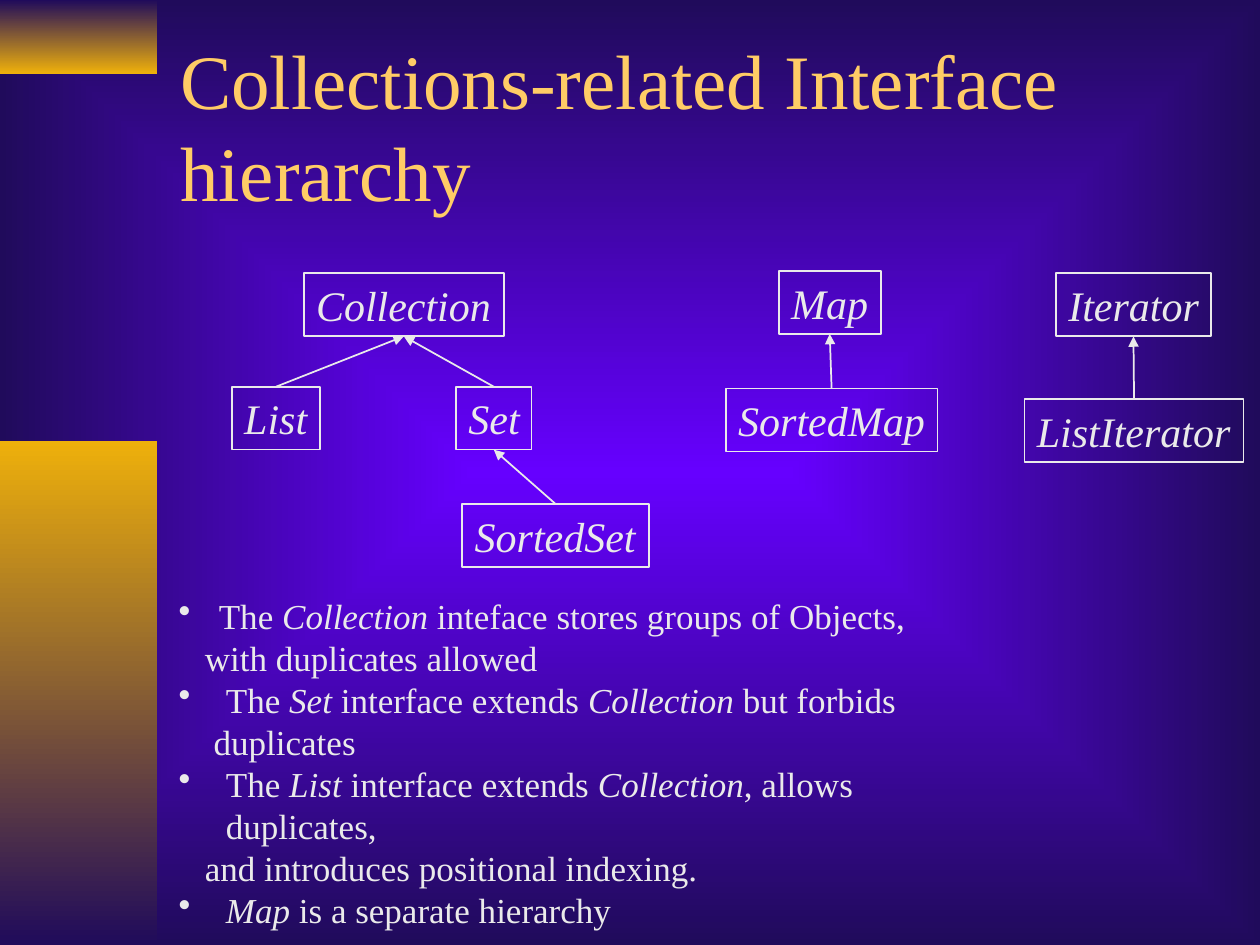
from dataclasses import dataclass

from lxml.etree import SubElement
from pptx import Presentation
from pptx.dml.color import RGBColor
from pptx.dml.fill import FillFormat
from pptx.enum.shapes import MSO_CONNECTOR, MSO_SHAPE
from pptx.enum.text import MSO_ANCHOR, PP_ALIGN
from pptx.oxml.ns import qn
from pptx.shapes.autoshape import Shape
from pptx.slide import Slide
from pptx.text.text import TextFrame
from pptx.util import Pt


@dataclass(frozen=True)
class Theme:
    font: str = "Times New Roman"
    glow: RGBColor = RGBColor(0x66, 0x00, 0xFF)
    night: RGBColor = RGBColor(0x20, 0x0B, 0x5B)
    gold: RGBColor = RGBColor(0xEE, 0xB0, 0x0B)
    heading: RGBColor = RGBColor(0xFF, 0xCC, 0x66)
    ink: RGBColor = RGBColor(0xEA, 0xEA, 0xEA)
    title_size: float = 44
    node_size: float = 24
    note_size: float = 20
    line_width: float = 1


@dataclass(frozen=True)
class Interface:
    name: str
    left: float
    top: float
    width: float
    parent: str = ""


@dataclass(frozen=True)
class Note:
    text: str  # interface names stand between asterisks
    indent: float
    bulleted: bool = True


THEME = Theme()
NODE_HEIGHT = 36

# Parents come before the interfaces that extend them
INTERFACES = [
    Interface("Collection", 173.5, 156.2, 114.5),
    Interface("List", 132.5, 221, 50.4, "Collection"),
    Interface("Set", 260.6, 221, 43.2, "Collection"),
    Interface("SortedSet", 264.2, 288, 106.6, "Set"),
    Interface("Map", 445, 154.8, 58.3),
    Interface("SortedMap", 414.7, 222, 121, "Map"),
    Interface("Iterator", 603.4, 156.2, 88.6),
    Interface("ListIterator", 585.4, 228.2, 125.3, "Iterator"),
]

NOTES = [
    Note("The *Collection* inteface stores groups of Objects,", 23),
    Note("with duplicates allowed", 15, bulleted=False),
    Note("The *Set* interface extends *Collection* but forbids", 27),
    Note("duplicates", 20, bulleted=False),
    Note("The *List* interface extends *Collection*, allows duplicates,", 27),
    Note("and introduces positional indexing.", 15, bulleted=False),
    Note("*Map* is a separate hierarchy", 27),
]


def set_gradient(fill: FillFormat, first: RGBColor, last: RGBColor) -> None:
    fill.gradient()
    fill.gradient_angle = 270  # top to bottom
    for stop, color in zip(fill.gradient_stops, (first, last)):
        stop.color.rgb = color


def paint_background(slide: Slide) -> None:
    set_gradient(slide.background.fill, THEME.glow, THEME.night)
    gradient = next(slide.background._cSld.iter(qn("a:gradFill")))
    gradient.remove(gradient.find(qn("a:lin")))
    rings = SubElement(gradient, qn("a:path"), path="rect")
    SubElement(rings, qn("a:fillToRect"), l="50000", t="50000", r="50000", b="50000")


def add_band(slide: Slide, top: float, height: float, first: RGBColor, last: RGBColor) -> None:
    band = slide.shapes.add_shape(MSO_SHAPE.RECTANGLE, 0, Pt(top), Pt(90), Pt(height))
    band.shadow.inherit = False
    band.line.fill.background()
    set_gradient(band.fill, first, last)


def add_text_area(slide: Slide, left: float, top: float, width: float, height: float) -> TextFrame:
    area = slide.shapes.add_textbox(Pt(left), Pt(top), Pt(width), Pt(height)).text_frame
    area.word_wrap = True
    return area


def add_title(slide: Slide, text: str) -> None:
    title = add_text_area(slide, 95.8, 23.8, 612, 95)
    title.vertical_anchor = MSO_ANCHOR.MIDDLE
    line = title.paragraphs[0]
    line.text = text
    line.font.name, line.font.size = THEME.font, Pt(THEME.title_size)
    line.font.color.rgb = THEME.heading


def add_interface(slide: Slide, item: Interface) -> Shape:
    node = slide.shapes.add_shape(
        MSO_SHAPE.RECTANGLE, Pt(item.left), Pt(item.top), Pt(item.width), Pt(NODE_HEIGHT))
    node.shadow.inherit = False
    node.fill.background()
    node.line.color.rgb, node.line.width = THEME.ink, Pt(THEME.line_width)
    node.text_frame.word_wrap = False
    node.text_frame.vertical_anchor = MSO_ANCHOR.TOP
    label = node.text_frame.paragraphs[0]
    label.text, label.alignment = item.name, PP_ALIGN.LEFT
    label.font.name, label.font.size = THEME.font, Pt(THEME.node_size)
    label.font.italic = True
    label.font.color.rgb = THEME.ink
    return node


def add_extends_arrow(slide: Slide, child: Shape, parent: Shape) -> None:
    arrow = slide.shapes.add_connector(MSO_CONNECTOR.STRAIGHT, 0, 0, 0, 0)
    arrow.begin_connect(child, 0)  # top centre
    arrow.end_connect(parent, 2)  # bottom centre
    arrow.line.color.rgb, arrow.line.width = THEME.ink, Pt(THEME.line_width)
    SubElement(arrow.line._get_or_add_ln(), qn("a:tailEnd"), type="triangle")
    SubElement(arrow._element.spPr, qn("a:effectLst"))


def add_notes(slide: Slide, notes: list[Note]) -> None:
    area = add_text_area(slide, 95, 336.2, 481, 180)
    for index, note in enumerate(notes):
        line = area.add_paragraph() if index else area.paragraphs[0]
        properties = line._p.get_or_add_pPr()
        properties.set("marL", str(Pt(note.indent)))
        properties.set("indent", str(Pt(-note.indent if note.bulleted else 0)))
        if note.bulleted:
            SubElement(properties, qn("a:buChar"), char="•")
        line.line_spacing = Pt(24)
        line.font.name, line.font.size = THEME.font, Pt(THEME.note_size)
        line.font.color.rgb = THEME.ink
        for position, part in enumerate(note.text.split("*")):
            if part:
                run = line.add_run()
                run.text = part
                run.font.italic = position % 2 == 1


def main() -> None:
    deck = Presentation()
    deck.slide_width, deck.slide_height = Pt(720), Pt(540)
    slide = deck.slides.add_slide(deck.slide_layouts[6])

    # Background and gold side bands
    paint_background(slide)
    add_band(slide, 0, 42, THEME.night, THEME.gold)
    add_band(slide, 252, 288, THEME.gold, THEME.night)

    add_title(slide, "Collections-related Interface hierarchy")

    # Interface hierarchy
    nodes = {item.name: add_interface(slide, item) for item in INTERFACES}
    for item in INTERFACES:
        if item.parent:
            add_extends_arrow(slide, nodes[item.name], nodes[item.parent])

    add_notes(slide, NOTES)
    deck.save("out.pptx")


if __name__ == "__main__":
    main()
